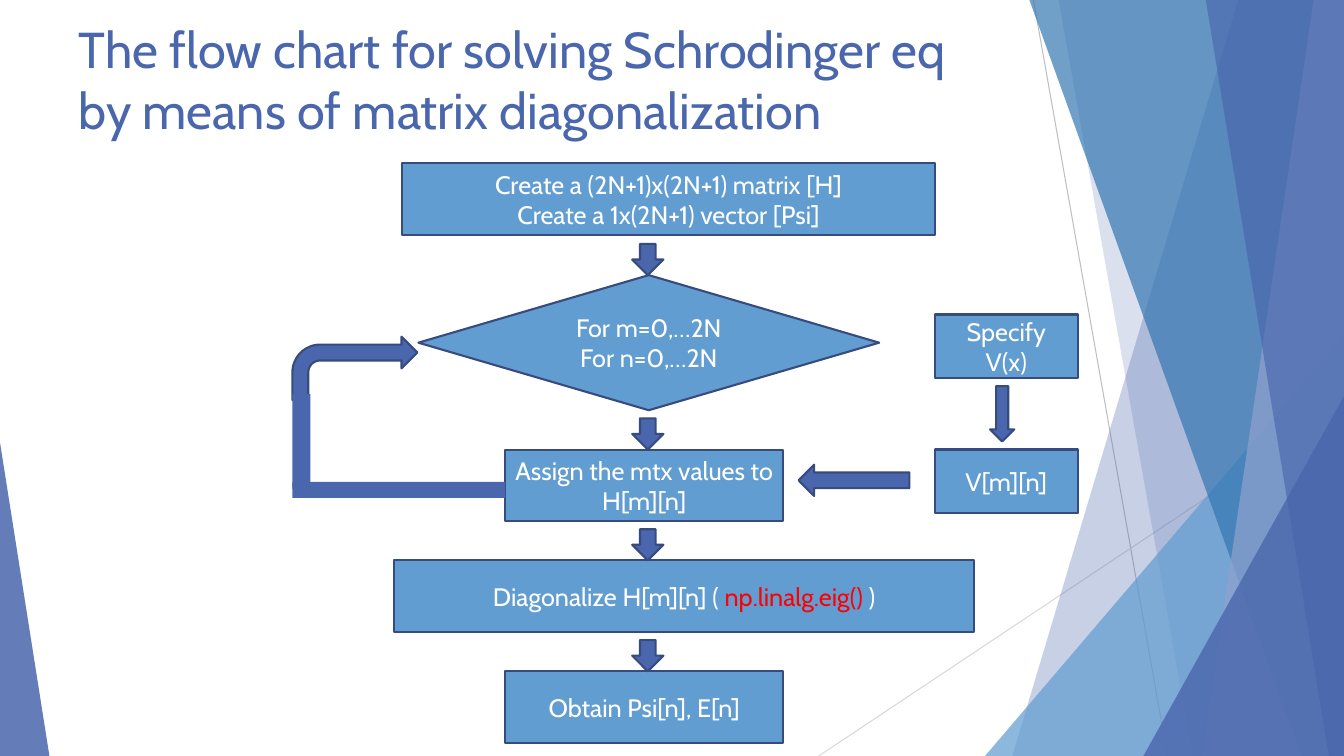
from dataclasses import dataclass

from lxml import etree
from pptx import Presentation
from pptx.dml.color import RGBColor
from pptx.enum.shapes import MSO_CONNECTOR, MSO_SHAPE
from pptx.enum.text import MSO_ANCHOR, MSO_AUTO_SIZE, PP_ALIGN
from pptx.oxml.ns import qn
from pptx.util import Inches, Pt

RECTANGLE, DECISION = MSO_SHAPE.RECTANGLE, MSO_SHAPE.FLOWCHART_DECISION
DOWN, LEFT, BENT = MSO_SHAPE.DOWN_ARROW, MSO_SHAPE.LEFT_ARROW, MSO_SHAPE.BENT_ARROW
TRIANGLE, STRAIGHT = MSO_SHAPE.ISOSCELES_TRIANGLE, MSO_CONNECTOR.STRAIGHT
CENTER, ALIGN_LEFT = PP_ALIGN.CENTER, PP_ALIGN.LEFT
TOP, MIDDLE, NO_FIT = MSO_ANCHOR.TOP, MSO_ANCHOR.MIDDLE, MSO_AUTO_SIZE.NONE


@dataclass(frozen=True)
class Theme:
    font: str = "Cabin"
    title_size: int = 36
    box_size: int = 18
    outline_width: float = 1.5
    hairline_width: float = 0.75
    primary: str = "4A66AC"
    box: str = "629DD1"
    outline: str = "374B7F"
    deep: str = "3477B2"
    pale: str = "90A2CF"
    light: str = "FFFFFF"
    code: str = "FF0000"


THEME = Theme()
WIDTH, HEIGHT = 13.33, 7.5
TITLE = "The flow chart for solving Schrodinger eq by means of matrix diagonalization"
TITLE_AREA = (0.68, 0.13, 9.4, 1.44)

HAIRLINES = [((10.25, 0), (11.58, HEIGHT), "BFBFBF"),
             ((WIDTH, 4.03), (8.12, HEIGHT), "D9D9D9")]
BANDS = [(12.28, 10.04, THEME.primary, 30), (10.5, 11.83, THEME.primary, 20),
         (10.21, 12.91, THEME.deep, 70), (13.03, 11.92, THEME.pale, 70),
         (11.96, 13.18, THEME.primary, 65)]
BACK_CORNER = (9.77, 3.33, 3.56, 4.17), 1, THEME.box, 72
FRONT_CORNERS = [((11.34, 3.93, 1.99, 3.57), 1, THEME.primary, 80),
                 ((0, 4.39, 0.49, 3.11), 0, THEME.primary, 85)]

STEPS = [
    (RECTANGLE, (3.99, 1.62, 5.28, 0.71),
     [["Create a (2N+1)x(2N+1) matrix [H]"], ["Create a 1x(2N+1) vector [Psi]"]]),
    (DECISION, (4.15, 2.73, 4.57, 1.34), [["For m=0,…2N"], ["For n=0,…2N"]]),
    (RECTANGLE, (5.01, 4.46, 2.76, 0.71), [["Assign the mtx values to H[m][n]"]]),
    (RECTANGLE, (3.91, 5.56, 5.75, 0.71),
     [["Diagonalize H[m][n] ( ", ("np.linalg.eig() ", THEME.code), ")"]]),
    (RECTANGLE, (5.01, 6.66, 2.76, 0.71), [["Obtain Psi[n], E[n]"]]),
]
POTENTIAL = [
    (RECTANGLE, (9.27, 3.12, 1.42, 0.63), [["Specify V(x)"]]),
    (RECTANGLE, (9.27, 4.46, 1.42, 0.63), [["V[m][n]"]]),
]
STEP_ARROW_LEFT, STEP_ARROW_SIZE = 6.27, 0.31
SIDE_ARROWS = [(LEFT, (7.92, 4.61, 1.1, 0.31)), (DOWN, (9.82, 3.83, 0.24, 0.55)),
               (BENT, (2.9, 3.34, 1.24, 0.63))]
LOOP_BARS = [(2.9, 3.91, 0.18, 0.94), (2.9, 4.78, 2.11, 0.16)]


def color(value):
    return RGBColor.from_string(value)


def apply(target, values):
    for name, value in values.items():
        setattr(target, name, value)


def paint(shape, fill, outline=None, opacity=100):
    shape.shadow.inherit = False
    shape.fill.solid()
    shape.fill.fore_color.rgb = color(fill)
    if opacity < 100:
        tint = shape.fill._xPr.find(qn("a:solidFill"))[0]
        etree.SubElement(tint, qn("a:alpha"), val=str(opacity * 1000))
    if outline:
        shape.line.color.rgb = color(outline)
        shape.line.width = Pt(THEME.outline_width)
    else:
        shape.line.fill.background()


def add_shape(slide, kind, area, fill, outline=None, opacity=100):
    shape = slide.shapes.add_shape(kind, *map(Inches, area))
    paint(shape, fill, outline, opacity)
    return shape


def write(frame, lines, size, tone, align, anchor):
    apply(frame, {"word_wrap": True, "auto_size": NO_FIT, "vertical_anchor": anchor})
    for index, line in enumerate(lines):
        para = frame.add_paragraph() if index else frame.paragraphs[0]
        para.alignment = align
        for part in line:
            text, ink = (part, tone) if isinstance(part, str) else part
            span = para.add_run()
            span.text = text
            apply(span.font, {"name": THEME.font, "size": Pt(size)})
            span.font.color.rgb = color(ink)


def add_corner(slide, area, apex, fill, opacity):
    corner = add_shape(slide, TRIANGLE, area, fill, opacity=opacity)
    corner.adjustments[0] = apex


def add_backdrop(slide):
    for start, end, tone in HAIRLINES:
        hairline = slide.shapes.add_connector(STRAIGHT, *map(Inches, start + end))
        hairline.line.color.rgb = color(tone)
        hairline.line.width = Pt(THEME.hairline_width)
        etree.SubElement(hairline._element.spPr, qn("a:effectLst"))
    for index, (top, bottom, fill, opacity) in enumerate(BANDS):
        if index == 2:
            add_corner(slide, *BACK_CORNER)
        outline = [(top, 0), (WIDTH, 0), (WIDTH, HEIGHT), (bottom, HEIGHT)]
        points = [(Inches(x), Inches(y)) for x, y in outline]
        builder = slide.shapes.build_freeform(*points[0])
        builder.add_line_segments(points[1:], close=True)
        paint(builder.convert_to_shape(), fill, opacity=opacity)
    for corner in FRONT_CORNERS:
        add_corner(slide, *corner)


def add_title(slide):
    title = slide.shapes.title
    apply(title, dict(zip(("left", "top", "width", "height"), map(Inches, TITLE_AREA))))
    write(title.text_frame, [[TITLE]], THEME.title_size, THEME.primary, ALIGN_LEFT, TOP)


def add_flow(slide):
    for kind, area, lines in STEPS + POTENTIAL:
        box = add_shape(slide, kind, area, THEME.box, THEME.outline)
        write(box.text_frame, lines, THEME.box_size, THEME.light, CENTER, MIDDLE)
    size = STEP_ARROW_SIZE
    step_arrows = [(DOWN, (STEP_ARROW_LEFT, area[1] - size, size, size))
                   for _, area, _ in STEPS[1:]]
    for kind, area in step_arrows + SIDE_ARROWS:
        add_shape(slide, kind, area, THEME.primary, THEME.outline)
    for area in LOOP_BARS:
        add_shape(slide, RECTANGLE, area, THEME.primary)


def main():
    """Build the matrix diagonalization flow chart slide."""
    deck = Presentation()
    apply(deck, {"slide_width": Inches(WIDTH), "slide_height": Inches(HEIGHT)})
    page = deck.slides.add_slide(deck.slide_layouts[5])
    add_backdrop(page)
    add_title(page)
    add_flow(page)
    deck.save("out.pptx")


if __name__ == "__main__":
    main()
